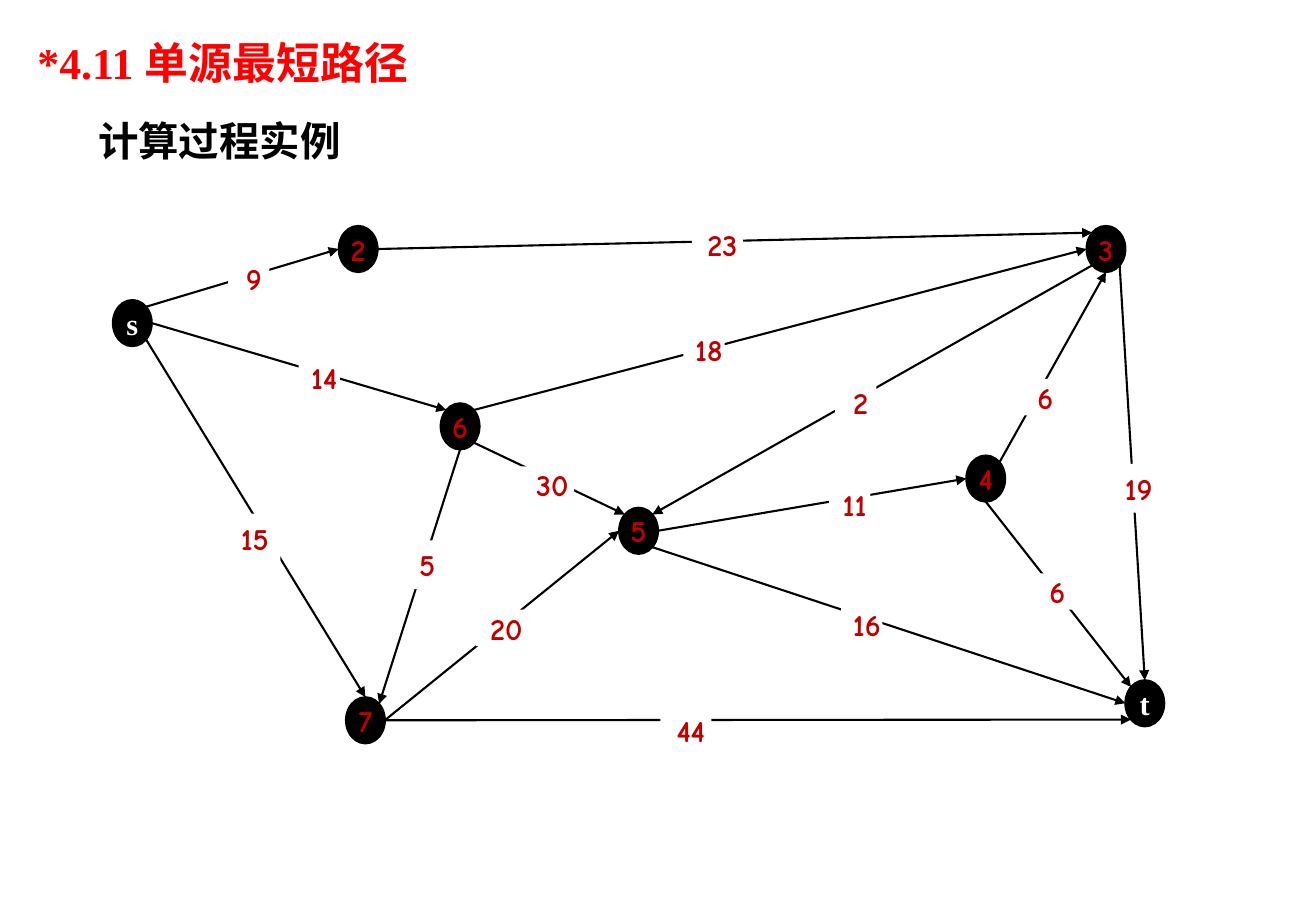
"""Slide with a weighted directed graph for the single-source shortest path example."""
import math
from lxml import etree
from pptx import Presentation
from pptx import util as u
from pptx.dml.color import RGBColor
from pptx.enum import shapes, text
from pptx.oxml.ns import qn

COLS, ROWS = 1084, 750
CELL = u.Inches(0.01)
NODE_W, NODE_H = 32, 38

THEME = dict(
    ink=RGBColor(0, 0, 0), paper=RGBColor(255, 255, 255),
    weight=RGBColor(0xC0, 0, 0), title=RGBColor(255, 0, 0),
    serif="Times New Roman", comic="Comic Neue",
    title_size=26, subtitle_size=24, graph_size=18, line_width=1.25,
)


def write(sp, words, size, font, color, align, anchor, insets, spacing=1.0):
    tf = sp.text_frame
    tf.word_wrap = False
    tf.vertical_anchor = anchor
    tf.margin_left, tf.margin_top, tf.margin_right, tf.margin_bottom = [CELL * i for i in insets]
    p = tf.paragraphs[0]
    p.alignment, p.line_spacing = align, spacing
    r = p.add_run()
    r.text = words
    r.font.size, r.font.name, r.font.bold = u.Pt(size), font, True
    r.font.color.rgb = color


def rim(node, side):
    col, row, _, _ = nodes[node]
    turn = math.radians(SIDES[side])
    return (round(CELL * (col + NODE_W / 2 * (1 + math.cos(turn)))),
            round(CELL * (row + NODE_H / 2 * (1 + math.sin(turn)))))


SIDES = {"E": 0, "SE": 45, "S": 90, "SW": 135, "W": 180, "NW": 225, "N": 270, "NE": 315}
serif_white = THEME["serif"], THEME["paper"]
comic_red = THEME["comic"], THEME["weight"]

nodes = {
    "s": (93, 247, *serif_white), "3": (895, 186, *comic_red),
    "t": (927, 560, *serif_white), "2": (279, 186, *comic_red),
    "6": (363, 332, *comic_red), "7": (285, 574, *comic_red),
    "4": (796, 375, *comic_red), "5": (510, 418, *comic_red),
}
edges = [
    ("s", "NE", "2", "W"), ("s", "E", "6", "NW"), ("s", "SE", "7", "N"),
    ("6", "NE", "3", "W"), ("4", "NE", "3", "S"), ("6", "SE", "5", "NW"),
    ("5", "SE", "t", "W"), ("5", "E", "4", "W"), ("4", "S", "t", "NW"),
    ("3", "SW", "5", "NE"), ("6", "S", "7", "NE"), ("7", "E", "5", "W"),
    ("2", "E", "3", "NW"), ("7", "E", "t", "SW"), ("3", "SE", "t", "N"),
]
weights = [
    ("23", 570, 186, 42, 30), ("18", 563, 273, 34, 30), ("2", 688, 316, 34, 30),
    ("9", 188, 214, 34, 30), ("14", 246, 296, 34, 30), ("15", 181, 423, 50, 40),
    ("5", 331, 445, 34, 40), ("30", 429, 384, 44, 30), ("20", 392, 502, 42, 30),
    ("44", 544, 586, 42, 30), ("16", 693, 499, 34, 30), ("11", 683, 400, 34, 30),
    ("6", 840, 312, 34, 30), ("19", 917, 382, 34, 40), ("6", 850, 472, 34, 30),
]
headings = [
    ("*4.11 单源最短路径", 21, 7, 336, 71, THEME["title_size"], THEME["title"],
     text.MSO_ANCHOR.MIDDLE, 1.4),
    ("计算过程实例", 71, 83, 220, 58, THEME["subtitle_size"], THEME["ink"],
     text.MSO_ANCHOR.TOP, 1.2),
]

prs = Presentation()
prs.slide_width, prs.slide_height = CELL * COLS, CELL * ROWS
s = prs.slides.add_slide(prs.slide_layouts[6])

for name, (col, row, font, color) in nodes.items():
    sp = s.shapes.add_shape(shapes.MSO_SHAPE.OVAL, CELL * col, CELL * row,
                            CELL * NODE_W, CELL * NODE_H)
    sp.shadow.inherit = False
    sp.fill.solid()
    sp.fill.fore_color.rgb = THEME["ink"]
    sp.line.color.rgb = THEME["ink"]
    sp.line.width = u.Pt(THEME["line_width"])
    write(sp, name, THEME["graph_size"], font, color, text.PP_ALIGN.CENTER,
          text.MSO_ANCHOR.MIDDLE, (10, 5, 10, 5))

for start, start_side, end, end_side in edges:
    cx = s.shapes.add_connector(shapes.MSO_CONNECTOR.STRAIGHT,
                                *rim(start, start_side), *rim(end, end_side))
    cx.line.color.rgb = THEME["ink"]
    cx.line.width = u.Pt(THEME["line_width"])
    etree.SubElement(cx.line._get_or_add_ln(), qn("a:tailEnd"), type="triangle")
    etree.SubElement(cx._element.spPr, qn("a:effectLst"))

for weight, col, row, width, height in weights:
    sp = s.shapes.add_shape(shapes.MSO_SHAPE.RECTANGLE, CELL * col, CELL * row,
                            CELL * width, CELL * height)
    sp.shadow.inherit = False
    sp.fill.solid()
    sp.fill.fore_color.rgb = THEME["paper"]
    sp.line.fill.background()
    pad = (height - 30) // 2
    write(sp, weight, THEME["graph_size"], *comic_red, text.PP_ALIGN.CENTER,
          text.MSO_ANCHOR.TOP, (8, pad, 0, pad))

for words, col, row, width, height, size, color, anchor, spacing in headings:
    sp = s.shapes.add_textbox(CELL * col, CELL * row, CELL * width, CELL * height)
    write(sp, words, size, THEME["serif"], color, text.PP_ALIGN.LEFT, anchor,
          (10, 5, 10, 5), spacing)

prs.save("out.pptx")
